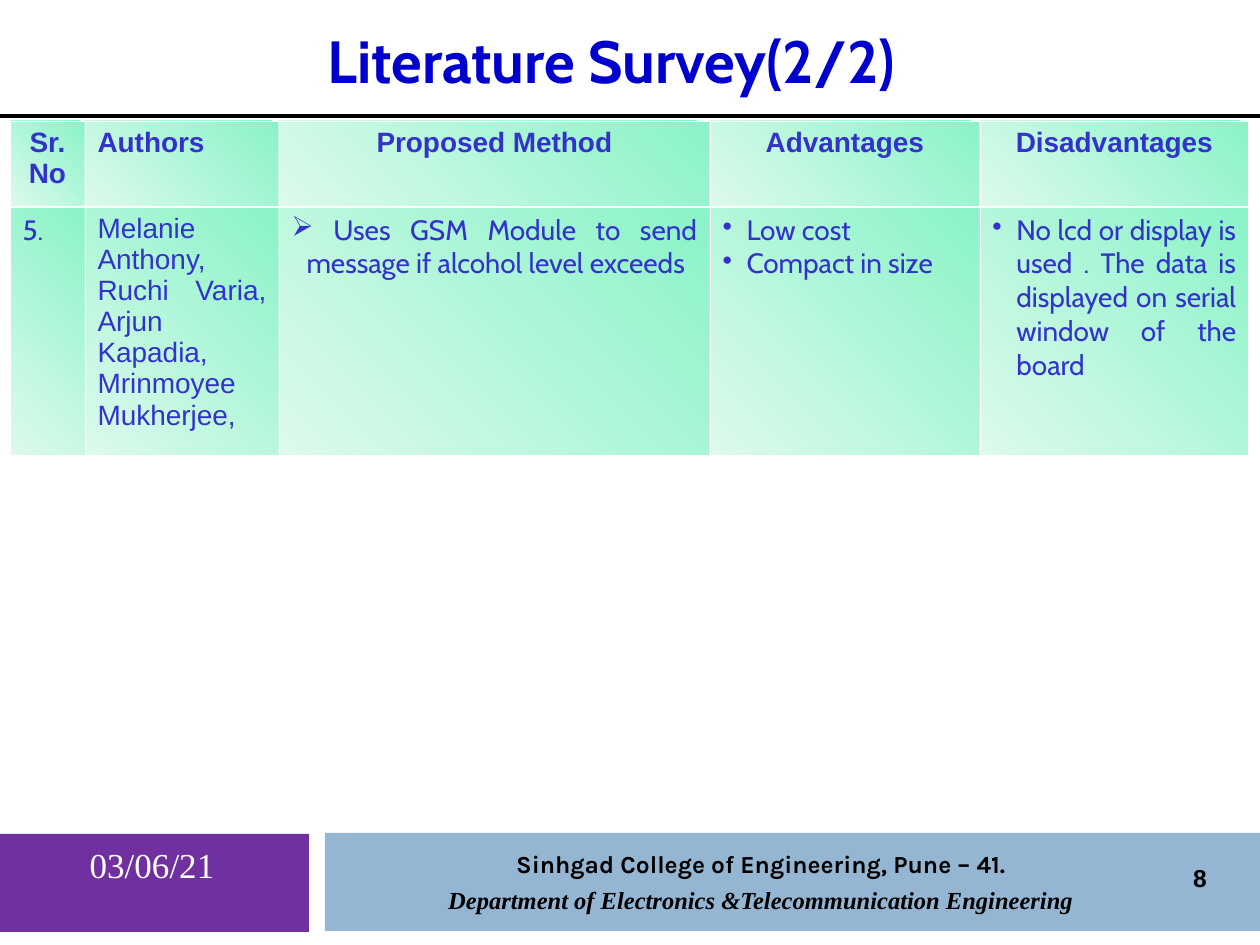
from dataclasses import dataclass
from typing import NamedTuple

from lxml.etree import SubElement
from pptx import Presentation
from pptx.dml.color import RGBColor
from pptx.enum.shapes import MSO_CONNECTOR, MSO_SHAPE
from pptx.enum.text import MSO_ANCHOR, PP_ALIGN
from pptx.oxml.ns import qn
from pptx.util import Emu, Pt

PIXELS_PER_INCH = 126


@dataclass(frozen=True)
class Theme:
    """Colours, fonts and type sizes of the slide."""
    title: str = "0000CC"
    table_text: str = "3333CC"
    black: str = "000000"
    white: str = "FFFFFF"
    date_band: str = "7030A0"
    footer_band: str = "94B6D2"
    cell_start: str = "8AF3C7"
    cell_end: str = "DDFAED"
    humanist: str = "Cabin"
    sans: str = "Arial"
    serif: str = "Times New Roman"
    footer: str = "Karla"
    title_size: int = 34
    date_size: int = 20
    table_size: int = 16
    footer_size: int = 14
    thin_border: float = 0.45
    thick_border: float = 1.47


class Box(NamedTuple):
    """Left, top, width and height in px."""
    left: int
    top: int
    width: int
    height: int


@dataclass(frozen=True)
class CellContent:
    """Lines of one table cell and their format."""
    lines: tuple[str, ...]
    align: PP_ALIGN = PP_ALIGN.JUSTIFY
    font: str = "Cabin"
    bold: bool = False
    bullet: str = ""
    indent: int = 0


THEME = Theme()
COLUMNS = (75, 194, 431, 270, 269)
ROWS = (86, 248)


def header(text: str, align: PP_ALIGN = PP_ALIGN.CENTER) -> CellContent:
    """Return a bold heading cell."""
    return CellContent((text,), align, THEME.sans, bold=True)


SURVEY = (
    (
        header("Sr. No"),
        header("Authors", PP_ALIGN.LEFT),
        header("Proposed Method"),
        header("Advantages"),
        header("Disadvantages"),
    ),
    (
        CellContent(("5.",)),
        CellContent(("Melanie Anthony, Ruchi Varia, Arjun Kapadia, Mrinmoyee Mukherjee, ",), font=THEME.sans),
        CellContent((" Uses GSM Module to send message if alcohol level exceeds",), bullet="➢", indent=15),
        CellContent(("Low cost", "Compact in size"), bullet="•", indent=24),
        CellContent(
            ("No lcd or display is used . The data is displayed on serial window of the board",),
            bullet="•", indent=24,
        ),
    ),
)


def px(length: int) -> Emu:
    """Turn px into EMU."""
    return Emu(round(length * 914400 / PIXELS_PER_INCH))


def rgb(colour: str) -> RGBColor:
    """Turn a hex string into a colour."""
    return RGBColor.from_string(colour)


def write(paragraph, text: str, *, font: str, size: int, colour: str, bold: bool = False,
          italic: bool = False, align: PP_ALIGN = PP_ALIGN.CENTER, before: float = 0) -> None:
    """Write one formatted run into a paragraph."""
    paragraph.alignment = align
    paragraph.space_before = Pt(before)
    run = paragraph.add_run()
    run.text = text
    run.font.name = font
    run.font.size = Pt(size)
    run.font.bold = bold
    run.font.italic = italic
    run.font.color.rgb = rgb(colour)


def add_bullet(paragraph, character: str, indent: int) -> None:
    """Give a paragraph a hanging bullet."""
    properties = paragraph._p.get_or_add_pPr()
    properties.set("marL", str(px(indent)))
    properties.set("indent", str(-px(indent)))
    colour = SubElement(properties, qn("a:buClr"))
    SubElement(colour, qn("a:srgbClr"), val=THEME.table_text)
    SubElement(properties, qn("a:buChar"), char=character)


def add_band(slide, box: Box, colour: str) -> None:
    """Draw a plain filled rectangle."""
    shape = slide.shapes.add_shape(MSO_SHAPE.RECTANGLE, *map(px, box))
    shape.shadow.inherit = False
    shape.fill.solid()
    shape.fill.fore_color.rgb = rgb(colour)
    shape.line.fill.background()


def add_rule(slide, top: int, width: int) -> None:
    """Draw the line under the title."""
    connector = slide.shapes.add_connector(MSO_CONNECTOR.STRAIGHT, 0, px(top), px(width), px(top))
    connector.line.color.rgb = rgb(THEME.black)
    connector.line.width = Pt(1.75)
    SubElement(connector._element.spPr, qn("a:effectLst"))


def add_text_frame(slide, box: Box, anchor: MSO_ANCHOR = MSO_ANCHOR.TOP):
    """Add a wrapping text box and return its frame."""
    frame = slide.shapes.add_textbox(*map(px, box)).text_frame
    frame.word_wrap = True
    frame.vertical_anchor = anchor
    return frame


def add_borders(cell, **widths: float) -> None:
    """Add white borders keyed by side in schema order."""
    properties = cell._tc.get_or_add_tcPr()
    for side, width in widths.items():
        line = SubElement(properties, qn(f"a:ln{side}"), w=str(Pt(width)))
        fill = SubElement(line, qn("a:solidFill"))
        SubElement(fill, qn("a:srgbClr"), val=THEME.white)


def fill_cell(cell, content: CellContent, is_header: bool) -> None:
    """Format one table cell and write its lines."""
    thin, thick = THEME.thin_border, THEME.thick_border
    add_borders(cell, L=thin, R=thin, T=thin if is_header else thick, B=thick if is_header else thin)
    cell.fill.gradient()
    cell.fill.gradient_angle = 225
    for stop, position, colour in zip(cell.fill.gradient_stops, (0, 1), (THEME.cell_start, THEME.cell_end)):
        stop.position = position
        stop.color.rgb = rgb(colour)
    frame = cell.text_frame
    for index, text in enumerate(content.lines):
        paragraph = frame.add_paragraph() if index else frame.paragraphs[0]
        write(paragraph, text, font=content.font, size=THEME.table_size, colour=THEME.table_text,
              bold=content.bold, align=content.align)
        if content.bullet:
            add_bullet(paragraph, content.bullet, content.indent)


def add_survey_table(slide, left: int, top: int) -> None:
    """Draw the literature table."""
    box = Box(left, top, sum(COLUMNS), sum(ROWS))
    table = slide.shapes.add_table(len(ROWS), len(COLUMNS), *map(px, box)).table
    table.first_row = table.horz_banding = False
    for column, width in zip(table.columns, COLUMNS):
        column.width = px(width)
    for index, (row, height, contents) in enumerate(zip(table.rows, ROWS, SURVEY)):
        row.height = px(height)
        for cell, content in zip(row.cells, contents):
            fill_cell(cell, content, is_header=index == 0)


def main() -> None:
    """Build and save the slide."""
    presentation = Presentation()
    presentation.slide_width, presentation.slide_height = px(1260), px(945)
    slide = presentation.slides.add_slide(presentation.slide_layouts[6])
    add_band(slide, Box(-1, 834, 310, 98), THEME.date_band)
    add_band(slide, Box(325, 833, 935, 98), THEME.footer_band)
    add_rule(slide, 116, 1260)

    footer = add_text_frame(slide, Box(386, 843, 750, 77))
    footer_format = dict(size=THEME.footer_size, colour=THEME.black, bold=True)
    write(footer.paragraphs[0], "Sinhgad College of Engineering, Pune – 41.", font=THEME.footer, **footer_format)
    write(footer.add_paragraph(), "Department of Electronics &Telecommunication Engineering",
          font=THEME.serif, italic=True, before=3.5, **footer_format)

    title = add_text_frame(slide, Box(315, 24, 617, 72), MSO_ANCHOR.MIDDLE)
    write(title.paragraphs[0], "Literature Survey(2/2)", font=THEME.humanist, size=THEME.title_size,
          colour=THEME.title, bold=True, align=PP_ALIGN.LEFT)
    number = add_text_frame(slide, Box(1142, 851, 116, 53), MSO_ANCHOR.MIDDLE)
    write(number.paragraphs[0], "8", font=THEME.sans, **footer_format)
    date = add_text_frame(slide, Box(10, 837, 284, 95))
    write(date.paragraphs[0], "03/06/21", font=THEME.serif, size=THEME.date_size, colour=THEME.white)

    add_survey_table(slide, 10, 121)
    presentation.save("out.pptx")


if __name__ == "__main__":
    main()
